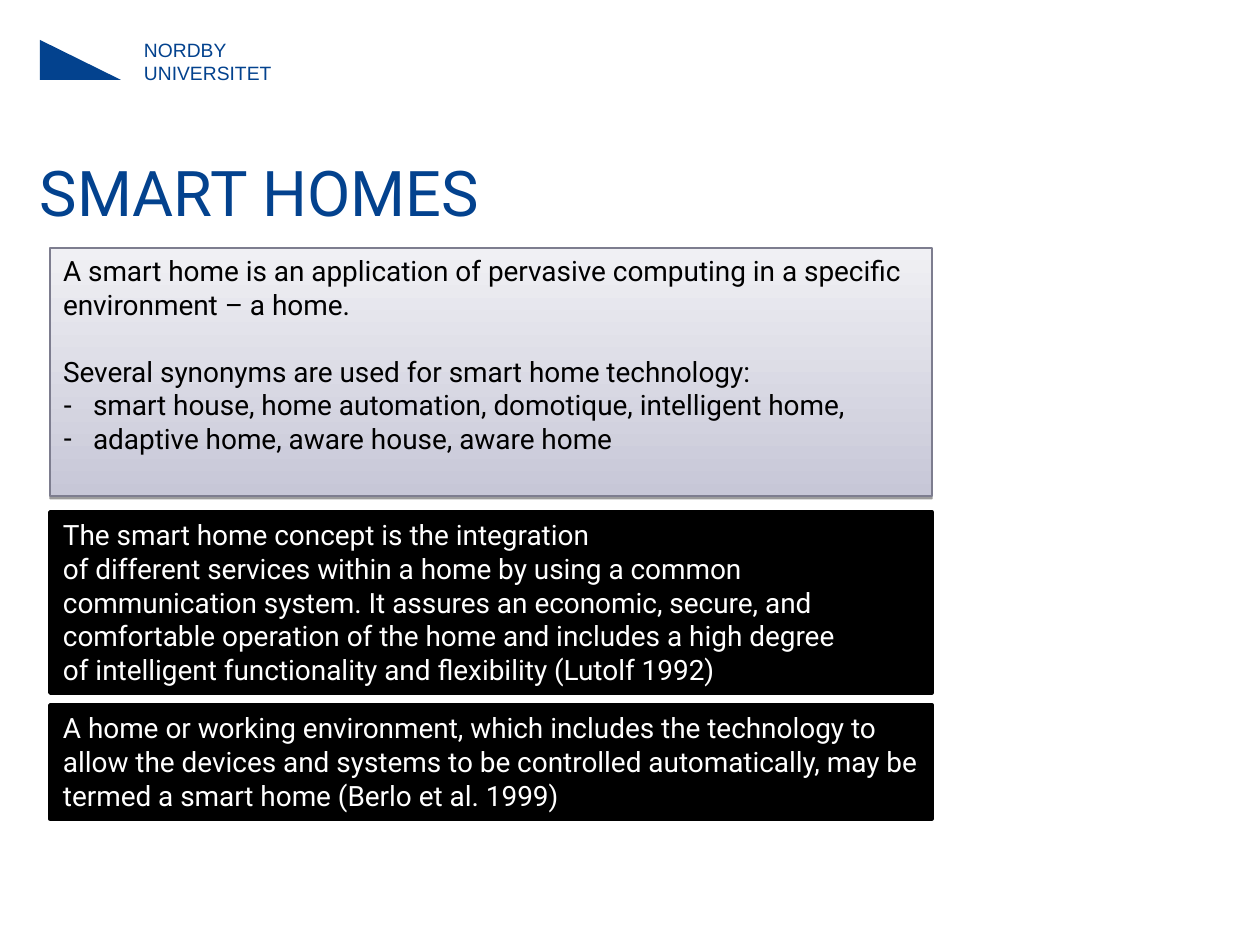
from pptx import Presentation
from pptx.dml.color import RGBColor
from pptx.enum.shapes import MSO_SHAPE
from pptx.enum.text import MSO_ANCHOR, MSO_AUTO_SIZE, PP_ALIGN
from pptx.oxml import parse_xml
from pptx.oxml.ns import nsdecls
from pptx.util import Pt

RECTANGLE, TRIANGLE = MSO_SHAPE.RECTANGLE, MSO_SHAPE.RIGHT_TRIANGLE
TOP, MIDDLE = MSO_ANCHOR.TOP, MSO_ANCHOR.MIDDLE
NO_FIT, LEFT = MSO_AUTO_SIZE.NONE, PP_ALIGN.LEFT

PX_PER_INCH = 126
EMU_PER_PX = 914400 / PX_PER_INCH
COLORS = {
    "brand": "03428E",
    "black": "000000",
    "white": "FFFFFF",
    "panel_low": "C7C7D7",
    "panel_high": "F0F0F4",
    "panel_edge": "7D7D8F",
}
PANEL_LEFT, PANEL_WIDTH = 50, 882
BULLET_INDENT = 30

INTRO = [
    "A smart home is an application of pervasive computing in a specific environment – a home.",
    "Several synonyms are used for smart home technology:",
]
SYNONYMS = [
    "smart house, home automation, domotique, intelligent home,",
    "adaptive home, aware house, aware home",
]
CONCEPT = [
    "The smart home concept is the integration",
    "of different services within a home by using a common",
    "communication system. It assures an economic, secure, and",
    "comfortable operation of the home and includes a high degree",
    "of intelligent functionality and flexibility (Lutolf 1992)",
]
ENVIRONMENT = [
    "A home or working environment, which includes the technology to allow the "
    "devices and systems to be controlled automatically, may be termed a smart "
    "home (Berlo et al. 1999)",
]


def px(length):
    """Turn pixels into EMU."""
    return round(length * EMU_PER_PX)


def color(name):
    """Look up a named colour."""
    return RGBColor.from_string(COLORS[name])


def apply(target, values):
    """Set each attribute of target from a dict."""
    for name, value in values.items():
        setattr(target, name, value)


def place(part, left, top, width, height):
    """Move and size a part of the slide in pixels."""
    apply(part, {"left": px(left), "top": px(top), "width": px(width), "height": px(height)})


def write(part, lines, ink, size=16, face="Roboto", inset=(13, 6), anchor=TOP, spacing=1.0):
    """Fill a part with left-aligned paragraphs and return them."""
    frame = part.text_frame
    across, down = map(px, inset)
    frame.text = "\n".join(lines)
    apply(frame, {
        "word_wrap": True, "auto_size": NO_FIT, "vertical_anchor": anchor,
        "margin_left": across, "margin_right": across,
        "margin_top": down, "margin_bottom": down,
    })
    for paragraph in frame.paragraphs:
        apply(paragraph, {"alignment": LEFT, "line_spacing": spacing, "space_before": Pt(0)})
        for run in paragraph.runs:
            apply(run.font, {"name": face, "size": Pt(size), "bold": False})
            run.font.color.rgb = color(ink)
    return frame.paragraphs


def set_bullet(paragraph, mark=None):
    """Give a paragraph a hanging mark, or none."""
    properties = paragraph._p.get_or_add_pPr()
    indent = px(BULLET_INDENT) if mark else 0
    properties.set("marL", str(indent))
    properties.set("indent", str(-indent))
    bullet = f'<a:buChar {nsdecls("a")} char="{mark}"/>' if mark else f'<a:buNone {nsdecls("a")}/>'
    properties.append(parse_xml(bullet))


def add_emblem(slide):
    """Add a plain triangle beside the institution name."""
    emblem = slide.shapes.add_shape(TRIANGLE, px(40), px(40), px(81), px(40))
    emblem.shadow.inherit = False
    emblem.fill.solid()
    emblem.fill.fore_color.rgb = color("brand")
    emblem.line.fill.background()


def add_institution(slide):
    """Add the two-line institution name."""
    institution = slide.shapes.add_textbox(px(144), px(39), px(564), px(42))
    write(institution, ["NORDBY", "UNIVERSITET"], "brand", 11, "Arial", (0, 0), spacing=Pt(13))


def add_title(slide):
    """Write the slide heading."""
    heading = slide.shapes.title
    place(heading, 40, 164, 1180, 68)
    write(heading, ["SMART HOMES"], "brand", 36, inset=(0, 0), anchor=MIDDLE, spacing=0.83)


def add_definition(slide):
    """Write the definition and synonyms on a shaded panel."""
    definition = slide.placeholders[1]
    place(definition, PANEL_LEFT, 248, PANEL_WIDTH, 248)
    fill = definition.fill
    fill.gradient()
    fill.gradient_angle = 90
    for stop, name in zip(fill.gradient_stops, ("panel_low", "panel_high")):
        stop.color.rgb = color(name)
    definition.line.color.rgb = color("panel_edge")
    definition.line.width = Pt(0.75)
    definition._element.spPr.append(parse_xml(
        f'<a:effectLst {nsdecls("a")}><a:outerShdw blurRad="0" dist="{Pt(1.6)}" dir="5400000" '
        f'rotWithShape="0"><a:srgbClr val="{COLORS["black"]}"><a:alpha val="38000"/>'
        '</a:srgbClr></a:outerShdw></a:effectLst>'))
    paragraphs = write(definition, INTRO + SYNONYMS, "black")
    paragraphs[1].space_before = Pt(19)
    for index, paragraph in enumerate(paragraphs):
        set_bullet(paragraph, "-" if index >= len(INTRO) else None)


def add_quote(slide, top, height, lines):
    """Add a black panel with a cited definition."""
    quote = slide.shapes.add_shape(RECTANGLE, px(PANEL_LEFT), px(top), px(PANEL_WIDTH), px(height))
    quote.shadow.inherit = False
    quote.fill.solid()
    quote.fill.fore_color.rgb = color("black")
    quote.line.color.rgb = color("black")
    quote.line.width = Pt(2)
    write(quote, lines, "white")


def main():
    """Build the smart homes slide."""
    deck = Presentation()
    apply(deck, {"slide_width": px(1260), "slide_height": px(945)})
    slide = deck.slides.add_slide(deck.slide_layouts[1])
    add_emblem(slide)
    add_institution(slide)
    add_title(slide)
    add_quote(slide, 512, 181, CONCEPT)
    add_quote(slide, 705, 114, ENVIRONMENT)
    add_definition(slide)
    deck.save("out.pptx")


if __name__ == "__main__":
    main()
